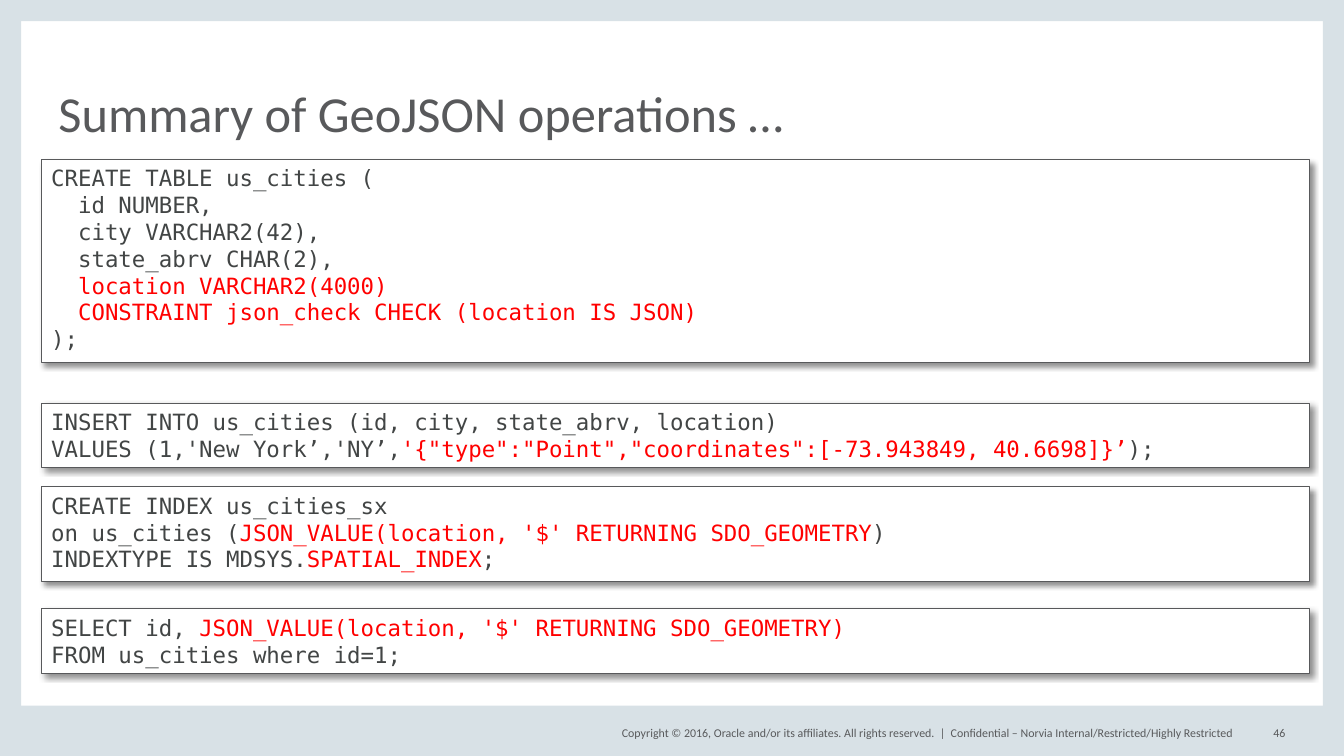
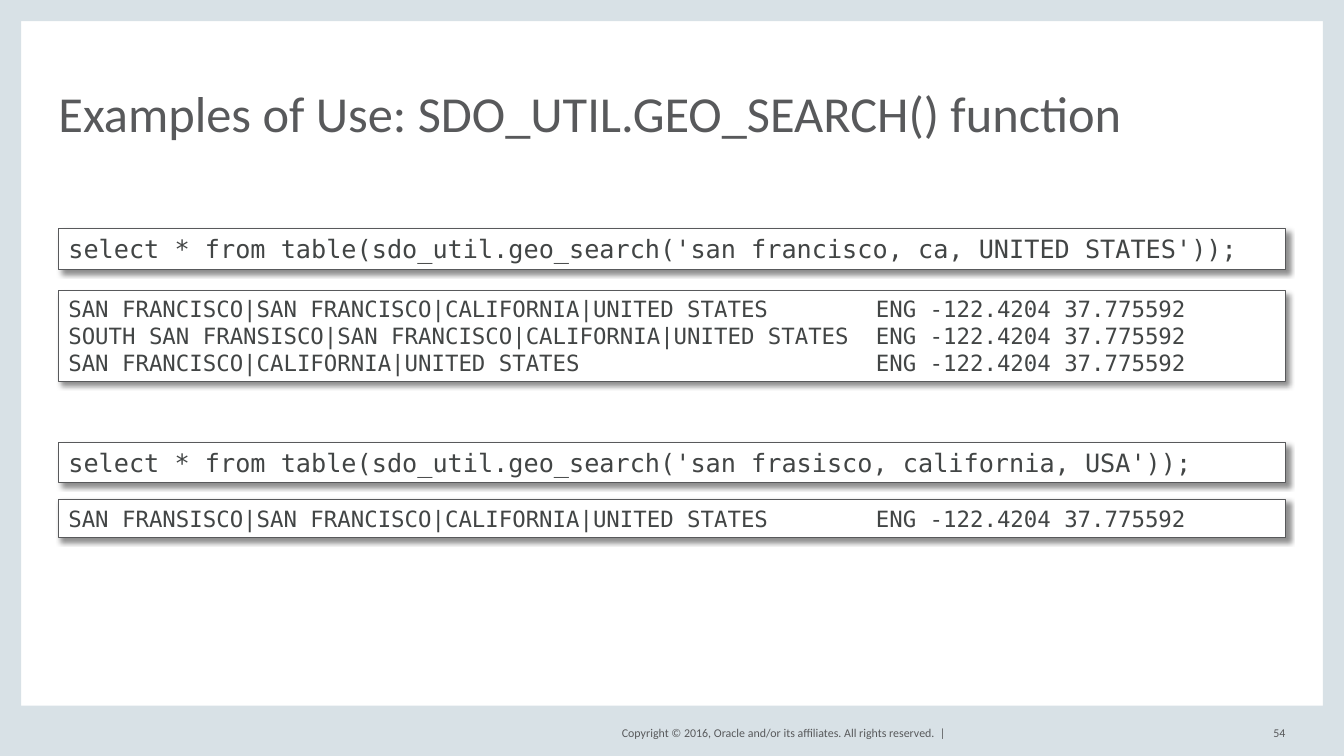
from lxml import etree
from pptx import Presentation
from pptx.dml.color import RGBColor
from pptx.enum.shapes import MSO_SHAPE
from pptx.enum.text import MSO_ANCHOR, MSO_AUTO_SIZE, PP_ALIGN
from pptx.oxml import parse_xml
from pptx.oxml.ns import nsdecls, qn
from pptx.util import Inches, Pt

COLORS = {
    "band": "D8E1E6",
    "paper": "FFFFFF",
    "grey": "58595B",
    "code": "424545",
    "highlight": "FF0000",
}
LABEL_FONT = "Calibri"
CODE_FONT = "DejaVu Sans Mono"
COPYRIGHT = "Copyright © 2016, Oracle and/or its affiliates. All rights reserved.  |"
CONFIDENTIAL = "Confidential – Norvia Internal/Restricted/Highly Restricted"
RESULT_TAB = Inches(8.01)

# Frame around every page: left, top, width, height
BANDS = [
    (0, 0, 0.21, 7.5),
    (13.12, 0, 0.21, 7.5),
    (0, 7, 13.33, 0.5),
    (0, 0, 13.33, 0.21),
]

SHADOW = (
    f'<a:effectLst {nsdecls("a")}>'
    '<a:outerShdw blurRad="50800" dist="38100" dir="2700000" algn="tl" rotWithShape="0">'
    '<a:srgbClr val="000000"><a:alpha val="43000"/></a:srgbClr>'
    "</a:outerShdw></a:effectLst>"
)

# Code boxes: top, height, text size, lines; text between ^ marks is highlighted
PAGES = [
    {
        "title": "Summary of GeoJSON operations …",
        "number": "46",
        "notice": CONFIDENTIAL,
        "left": 0.41,
        "width": 12.58,
        "boxes": [
            (1.58, 2.02, 16, [
                "CREATE TABLE us_cities (",
                "  id NUMBER,",
                "  city VARCHAR2(42),",
                "  state_abrv CHAR(2),",
                "  ^location VARCHAR2(4000)^",
                "  ^CONSTRAINT json_check CHECK (location IS JSON)^",
                ");",
            ]),
            (4, 0.64, 16, [
                "INSERT INTO us_cities (id, city, state_abrv, location)",
                "VALUES (1,'New York’,'NY’,"
                "^'{\"type\":\"Point\",\"coordinates\":[-73.943849, 40.6698]}’^);",
            ]),
            (4.83, 0.94, 16, [
                "CREATE INDEX us_cities_sx",
                "on us_cities (^JSON_VALUE(location, '$' RETURNING SDO_GEOMETRY^)",
                "INDEXTYPE IS MDSYS.^SPATIAL_INDEX^;",
            ]),
            (6.04, 0.64, 16, [
                "SELECT id, ^JSON_VALUE(location, '$' RETURNING SDO_GEOMETRY)^",
                "FROM us_cities where id=1;",
            ]),
        ],
    },
    {
        "title": "Examples of Use: SDO_UTIL.GEO_SEARCH() function",
        "number": "54",
        "notice": None,
        "left": 0.58,
        "width": 12.17,
        "boxes": [
            (2.27, 0.4, 18, [
                "select * from table(sdo_util.geo_search('san francisco, ca, UNITED STATES'));",
            ]),
            (2.88, 0.91, 16, [
                "SAN FRANCISCO|SAN FRANCISCO|CALIFORNIA|UNITED STATES\tENG -122.4204 37.775592",
                "SOUTH SAN FRANSISCO|SAN FRANCISCO|CALIFORNIA|UNITED STATES\tENG -122.4204 37.775592",
                "SAN FRANCISCO|CALIFORNIA|UNITED STATES\tENG -122.4204 37.775592",
            ]),
            (4.39, 0.4, 18, [
                "select * from table(sdo_util.geo_search('san frasisco, california, USA'));",
            ]),
            (4.96, 0.37, 16, [
                "SAN FRANSISCO|SAN FRANCISCO|CALIFORNIA|UNITED STATES\tENG -122.4204 37.775592",
            ]),
        ],
    },
]


def add_label(page, text, left, top, width, height, size=8.5, align=PP_ALIGN.LEFT):
    """Add a grey label without insets and return its text frame."""
    box = page.shapes.add_textbox(Inches(left), Inches(top), Inches(width), Inches(height))
    frame = box.text_frame
    frame.margin_left = frame.margin_right = frame.margin_top = frame.margin_bottom = 0
    frame.vertical_anchor = MSO_ANCHOR.MIDDLE
    frame.word_wrap = False
    frame.text = text
    paragraph = frame.paragraphs[0]
    paragraph.alignment = align
    font = paragraph.runs[0].font
    font.name = LABEL_FONT
    font.size = Pt(size)
    font.color.rgb = RGBColor.from_string(COLORS["grey"])
    return frame


def add_rectangle(page, left, top, width, height, fill):
    """Add a plain filled rectangle without outline or shadow."""
    box = page.shapes.add_shape(
        MSO_SHAPE.RECTANGLE, Inches(left), Inches(top), Inches(width), Inches(height))
    box.shadow.inherit = False
    box.fill.solid()
    box.fill.fore_color.rgb = RGBColor.from_string(COLORS[fill])
    box.line.fill.background()
    return box


deck = Presentation()
deck.slide_width = Inches(13.33)
deck.slide_height = Inches(7.5)

for content in PAGES:
    page = deck.slides.add_slide(deck.slide_layouts[6])

    # Frame and footer
    for band in BANDS:
        add_rectangle(page, *band, "band")
    add_label(page, COPYRIGHT, 5.88, 7.17, 3.5, 0.2, align=PP_ALIGN.RIGHT)
    if content["notice"]:
        add_label(page, content["notice"], 9.43, 7.17, 3, 0.2)
    add_label(page, content["number"], 12.33, 7.17, 0.42, 0.2, align=PP_ALIGN.RIGHT)

    # Title
    title = add_label(page, content["title"], 0.58, 0.44, 12.17, 0.97, size=36)
    title.word_wrap = True
    title.vertical_anchor = MSO_ANCHOR.BOTTOM
    title.paragraphs[0].line_spacing = 0.8

    # Code boxes
    for top, height, size, lines in content["boxes"]:
        box = add_rectangle(page, content["left"], top, content["width"], height, "paper")
        box.line.color.rgb = RGBColor.from_string(COLORS["grey"])
        box.line.width = Pt(0.75)
        properties = box.fill._xPr
        properties.replace(properties.find(qn("a:effectLst")), parse_xml(SHADOW))

        frame = box.text_frame
        frame.word_wrap = True
        frame.auto_size = MSO_AUTO_SIZE.SHAPE_TO_FIT_TEXT
        frame.vertical_anchor = MSO_ANCHOR.TOP
        for index, line in enumerate(lines):
            paragraph = frame.add_paragraph() if index else frame.paragraphs[0]
            paragraph.alignment = PP_ALIGN.LEFT
            if "\t" in line:
                tabs = etree.SubElement(paragraph._p.get_or_add_pPr(), qn("a:tabLst"))
                etree.SubElement(tabs, qn("a:tab"), pos=str(RESULT_TAB), algn="l")
            for part, text in enumerate(line.split("^")):
                if text:
                    span = paragraph.add_run()
                    span.text = text
                    span.font.name = CODE_FONT
                    span.font.size = Pt(size)
                    color = COLORS["highlight" if part % 2 else "code"]
                    span.font.color.rgb = RGBColor.from_string(color)

deck.save("out.pptx")
